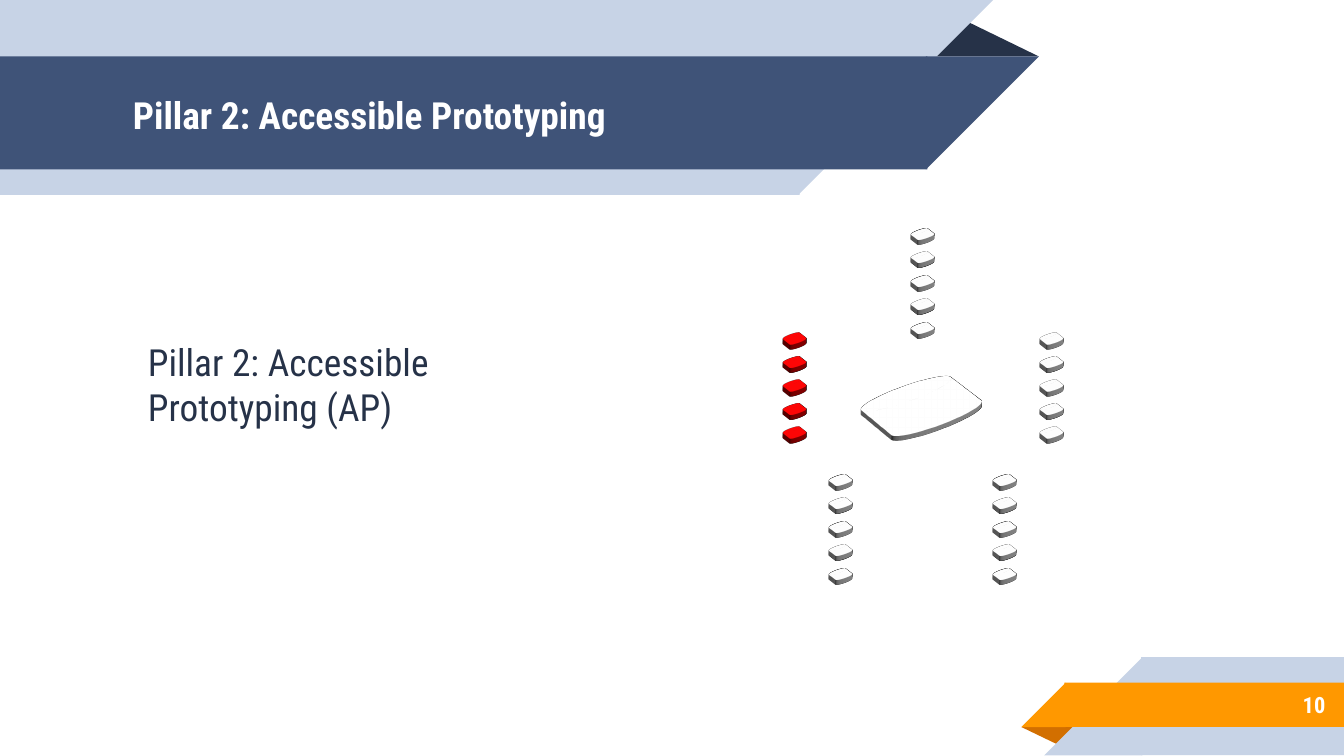
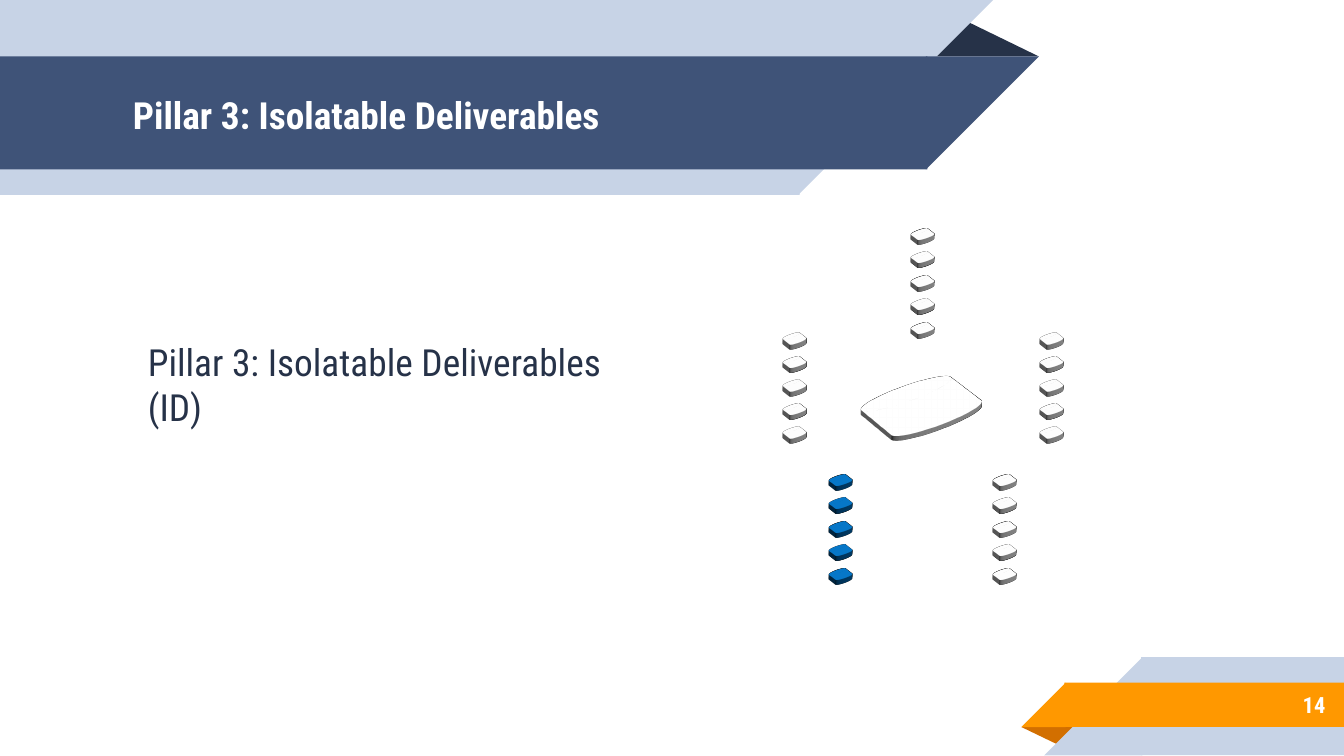
from dataclasses import dataclass

from pptx import Presentation
from pptx.dml.color import RGBColor
from pptx.enum.shapes import MSO_SHAPE
from pptx.enum.text import MSO_ANCHOR, PP_ALIGN
from pptx.oxml import parse_xml
from pptx.oxml.ns import nsdecls, qn
from pptx.shapes.autoshape import Shape
from pptx.slide import Slide
from pptx.util import Inches, Pt

FONT = "Roboto Condensed"
NAVY = RGBColor(0x26, 0x32, 0x48)
BLUE = RGBColor(0x3F, 0x53, 0x78)
PALE = RGBColor(0xC7, 0xD3, 0xE6)
ORANGE = RGBColor(0xFF, 0x98, 0x00)
DARK_ORANGE = RGBColor(0xD2, 0x6F, 0x00)
WHITE = RGBColor(0xFF, 0xFF, 0xFF)
RED = RGBColor(0xFF, 0x00, 0x00)
BRIGHT_BLUE = RGBColor(0x00, 0x70, 0xC0)

SLIDE_WIDTH = 10
SLIDE_HEIGHT = SLIDE_WIDTH * 9 / 16

DISK_WIDTH, DISK_HEIGHT = 0.15, 0.12
DISKS_PER_STACK = 5
STACK_SPAN = 0.7  # from the top of the first disk to the top of the last

DISK_EFFECTS = f"""
<a:effectLst {nsdecls('a')}>
  <a:outerShdw blurRad="317500" dir="2700000" algn="ctr" rotWithShape="0">
    <a:srgbClr val="000000"><a:alpha val="43000"/></a:srgbClr>
  </a:outerShdw>
</a:effectLst>"""
DISK_SCENE = f"""
<a:scene3d {nsdecls('a')}>
  <a:camera prst="perspectiveFront" fov="2700000">
    <a:rot lat="19086000" lon="19067999" rev="3108000"/>
  </a:camera>
  <a:lightRig rig="threePt" dir="t"><a:rot lat="0" lon="0" rev="0"/></a:lightRig>
</a:scene3d>"""
DISK_SOLID = f"""
<a:sp3d {nsdecls('a')} extrusionH="38100" prstMaterial="clear">
  <a:bevelT w="260350" h="50800" prst="softRound"/>
  <a:bevelB prst="softRound"/>
</a:sp3d>"""


@dataclass(frozen=True)
class Box:
    left: float
    top: float
    width: float
    height: float


@dataclass(frozen=True)
class Band:
    """A bar with a slanted end: a rectangle and a square right triangle."""
    bar: Box
    slant_left: float
    slant_rotation: int
    color: RGBColor


@dataclass(frozen=True)
class Fold:
    box: Box
    rotation: int
    color: RGBColor


@dataclass(frozen=True)
class Stack:
    left: float
    top: float


@dataclass(frozen=True)
class TextStyle:
    size: int
    color: RGBColor
    bold: bool = False
    anchor: MSO_ANCHOR = MSO_ANCHOR.MIDDLE
    align: PP_ALIGN = PP_ALIGN.LEFT
    top_inset: float = 0.1
    left_inset: float = 0.1


@dataclass(frozen=True)
class Pillar:
    title: str
    abbreviation: str
    page: int
    stack: str
    color: RGBColor


# Each bar reaches slightly under its slanted end, so that no seam shows.
RIBBONS = (
    Fold(Box(6.88, 0.14, 0.85, 0.28), 0, NAVY),
    Band(Box(0, 0, 5.95, 1.45), 5.94, 90, PALE),
    Band(Box(0, 0.42, 6.9, 0.84), 6.89, 90, BLUE),
    Fold(Box(7.6, 5.41, 0.43, 0.14), 180, DARK_ORANGE),
    Band(Box(8.49, 4.89, 1.51, 0.73), 7.77, 270, PALE),
    Band(Box(7.92, 5.08, 2.08, 0.33), 7.6, 270, ORANGE),
)

STACKS = {
    "left": Stack(5.84, 2.46),
    "right": Stack(7.75, 2.46),
    "lower left": Stack(6.18, 3.51),
    "lower right": Stack(7.4, 3.51),
    "top": Stack(6.79, 1.68),
}
PLATFORM = Box(6.45, 2.73, 0.82, 0.57)

TITLE_BOX = Box(0.89, 0.43, 5.75, 0.84)
BODY_BOX = Box(0.89, 1.68, 3.69, 2.98)
PAGE_BOX = Box(8.33, 5.07, 1.63, 0.35)
TITLE_STYLE = TextStyle(20, WHITE, bold=True)
BODY_STYLE = TextStyle(20, NAVY, anchor=MSO_ANCHOR.TOP, top_inset=1.12, left_inset=0.21)
PAGE_STYLE = TextStyle(12, WHITE, bold=True, align=PP_ALIGN.RIGHT)

PILLARS = (
    Pillar("Pillar 2: Accessible Prototyping", "AP", 10, "left", RED),
    Pillar("Pillar 3: Isolatable Deliverables", "ID", 14, "lower left", BRIGHT_BLUE),
)


def inches(box: Box) -> tuple[Inches, ...]:
    return tuple(Inches(n) for n in (box.left, box.top, box.width, box.height))


def add_solid(slide: Slide, kind: MSO_SHAPE, box: Box, color: RGBColor,
              rotation: int = 0) -> Shape:
    solid = slide.shapes.add_shape(kind, *inches(box))
    solid.rotation = rotation
    solid.fill.solid()
    solid.fill.fore_color.rgb = color
    solid.line.fill.background()
    solid.shadow.inherit = False
    return solid


def add_fold(slide: Slide, fold: Fold) -> None:
    triangle = add_solid(slide, MSO_SHAPE.ISOSCELES_TRIANGLE, fold.box, fold.color,
                         fold.rotation)
    triangle.adjustments[0] = 0.324


def add_band(slide: Slide, band: Band) -> None:
    side = band.bar.height
    add_solid(slide, MSO_SHAPE.RECTANGLE, band.bar, band.color)
    add_solid(slide, MSO_SHAPE.RIGHT_TRIANGLE,
              Box(band.slant_left, band.bar.top, side, side),
              band.color, band.slant_rotation)


def add_disk(slide: Slide, box: Box, color: RGBColor) -> None:
    """Draw a tilted, extruded disk with a soft shadow."""
    disk = add_solid(slide, MSO_SHAPE.FLOWCHART_MAGNETIC_DISK, box, color)
    disk.line.color.rgb = color
    disk.line.width = Pt(2.75)
    properties = disk.element.spPr
    properties.remove(properties.find(qn("a:effectLst")))
    for xml in (DISK_EFFECTS, DISK_SCENE, DISK_SOLID):
        properties.append(parse_xml(xml))


def add_stack(slide: Slide, stack: Stack, color: RGBColor) -> None:
    step = STACK_SPAN / (DISKS_PER_STACK - 1)
    for level in reversed(range(DISKS_PER_STACK)):
        top = stack.top + level * step
        add_disk(slide, Box(stack.left, top, DISK_WIDTH, DISK_HEIGHT), color)


def add_text(slide: Slide, box: Box, text: str, style: TextStyle) -> None:
    frame = slide.shapes.add_textbox(*inches(box)).text_frame
    frame.word_wrap = True
    frame.vertical_anchor = style.anchor
    frame.margin_left = Inches(style.left_inset)
    frame.margin_top = Inches(style.top_inset)
    frame.margin_right = frame.margin_bottom = Inches(0.1)
    frame.text = text
    paragraph = frame.paragraphs[0]
    paragraph.alignment = style.align
    font = paragraph.runs[0].font
    font.name = FONT
    font.size = Pt(style.size)
    font.bold = style.bold
    font.color.rgb = style.color


def add_ribbons(slide: Slide) -> None:
    for ribbon in RIBBONS:
        if isinstance(ribbon, Fold):
            add_fold(slide, ribbon)
        else:
            add_band(slide, ribbon)


def add_pillar_slide(deck: Presentation, pillar: Pillar) -> None:
    slide = deck.slides.add_slide(deck.slide_layouts[6])
    add_ribbons(slide)
    add_text(slide, TITLE_BOX, pillar.title, TITLE_STYLE)
    add_text(slide, BODY_BOX, f"{pillar.title} ({pillar.abbreviation})", BODY_STYLE)
    add_text(slide, PAGE_BOX, str(pillar.page), PAGE_STYLE)
    add_disk(slide, PLATFORM, WHITE)
    for place, stack in STACKS.items():
        add_stack(slide, stack, pillar.color if place == pillar.stack else WHITE)


def main() -> None:
    deck = Presentation()
    deck.slide_width = Inches(SLIDE_WIDTH)
    deck.slide_height = Inches(SLIDE_HEIGHT)
    for pillar in PILLARS:
        add_pillar_slide(deck, pillar)
    deck.save("out.pptx")


if __name__ == "__main__":
    main()
